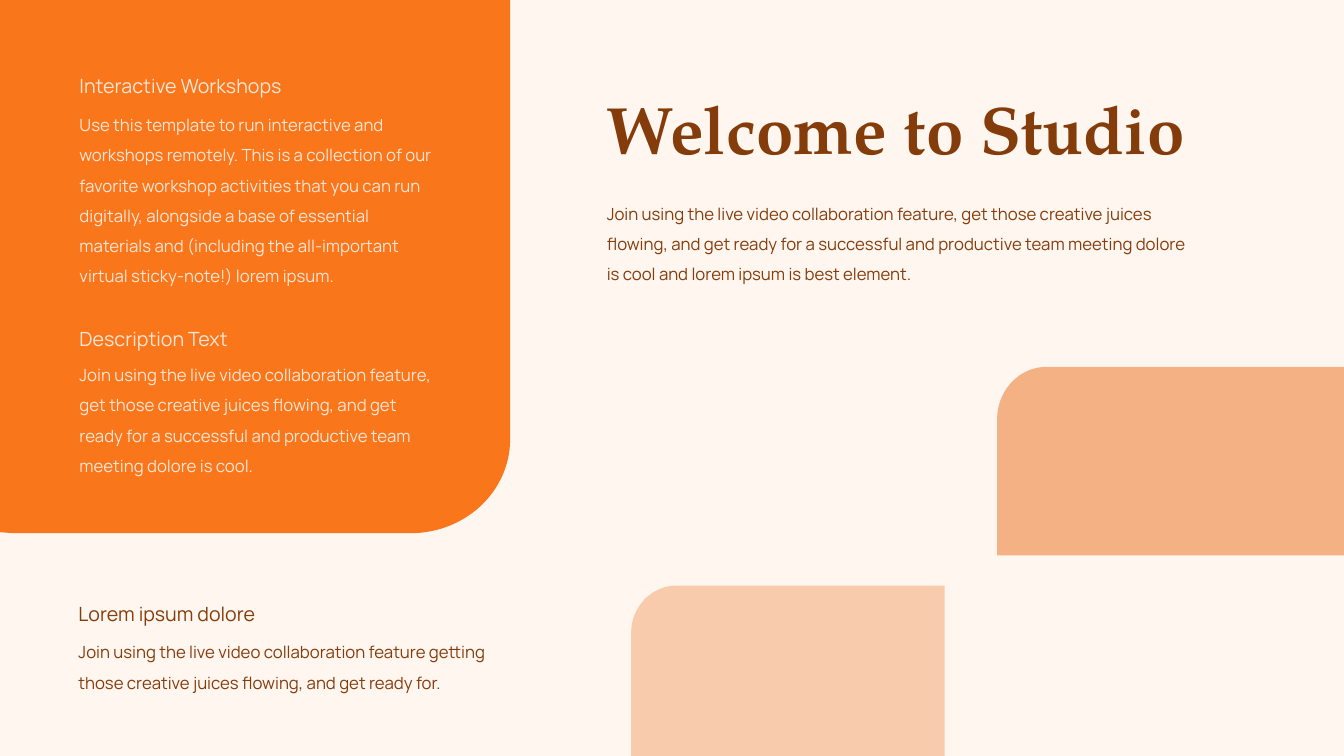
from dataclasses import dataclass
from math import cos, radians, sin

from pptx import Presentation
from pptx.dml.color import RGBColor
from pptx.enum.text import MSO_AUTO_SIZE
from pptx.util import Inches, Pt

GROW = MSO_AUTO_SIZE.SHAPE_TO_FIT_TEXT

CREAM, ORANGE = "FFF6F0", "F9761A"
APRICOT, PEACH = "F4B183", "F8CBAD"
BROWN, PALE = "843C0B", "FBE5D6"
BODY_FONT, TITLE_FONT = "Manrope", "TeX Gyre Pagella"
ARC_STEPS = 30


@dataclass
class Panel:
    fill: str
    corner: tuple[float, float]  # centre of the rounded corner
    radii: tuple[float, float]
    start_angle: int  # 180 rounds the top left, 0 the bottom right
    other_points: list[tuple[float, float]]  # clockwise, after the arc


@dataclass
class Section:
    left: float
    heading_top: float
    body_top: float
    width: float
    body_height: float
    color: str
    heading: str
    body: str


PANELS = [
    Panel(APRICOT, (10.38, 4.16), (0.49, 0.52), 180,
          [(13.33, 3.64), (13.33, 5.51), (9.89, 5.51)]),
    Panel(ORANGE, (4.07, 4.36), (0.99, 0.93), 0,
          [(0.14, 5.29), (0, 5.28), (0, 0), (5.06, 0)]),
    Panel(PEACH, (6.71, 6.28), (0.45, 0.47), 180,
          [(9.37, 5.81), (9.37, 7.5), (6.26, 7.5)]),
]

SECTIONS = [
    Section(0.69, 0.68, 0.99, 3.7, 1.88, PALE, "Interactive Workshops",
            "Use this template to run interactive and workshops remotely. This is a "
            "collection of our favorite workshop activities that you can run digitally, "
            "alongside a base of essential materials and (including the all-important "
            "virtual sticky-note!) lorem ipsum."),
    Section(0.69, 3.19, 3.47, 3.7, 1.28, PALE, "Description Text",
            "Join using the live video collaboration feature, get those creative juices "
            "flowing, and get ready for a successful and productive team meeting dolore "
            "is cool."),
    Section(0.68, 5.92, 6.22, 4.38, 0.67, BROWN, "Lorem ipsum dolore",
            "Join using the live video collaboration feature getting those creative "
            "juices flowing, and get ready for."),
]

INTRO = ("Join using the live video collaboration feature, get those creative juices "
         "flowing, and get ready for a successful and productive team meeting dolore "
         "is cool and lorem ipsum is best element.")


def rgb(color: str) -> RGBColor:
    return RGBColor.from_string(color)


def draw_panel(slide, panel: Panel) -> None:
    (center_x, center_y), (radius_x, radius_y) = panel.corner, panel.radii
    angles = [radians(panel.start_angle + 90 * step / ARC_STEPS)
              for step in range(ARC_STEPS + 1)]
    arc = [(center_x + radius_x * cos(a), center_y + radius_y * sin(a)) for a in angles]
    start, *rest = [(Inches(x), Inches(y)) for x, y in arc + panel.other_points]
    builder = slide.shapes.build_freeform(*start)
    builder.add_line_segments(rest, close=True)
    outline = builder.convert_to_shape()
    outline.shadow.inherit = False
    outline.fill.solid()
    outline.fill.fore_color.rgb = rgb(panel.fill)
    outline.line.fill.background()


def add_text(slide, text: str, left: float, top: float, width: float, height: float, *,
             size: int = 12, color: str = BROWN, font: str = BODY_FONT,
             bold: bool = False, spacing: float = 1.0) -> None:
    box = slide.shapes.add_textbox(Inches(left), Inches(top), Inches(width), Inches(height))
    frame = box.text_frame
    frame.word_wrap = True
    frame.auto_size = GROW
    paragraph = frame.paragraphs[0]
    paragraph.line_spacing = spacing
    run = paragraph.add_run()
    run.text = text
    run.font.size = Pt(size)
    run.font.name = font
    run.font.bold = bold
    run.font.color.rgb = rgb(color)


def draw_section(slide, section: Section) -> None:
    add_text(slide, section.heading, section.left, section.heading_top,
             section.width, 0.34, size=14, color=section.color)
    add_text(slide, section.body, section.left, section.body_top,
             section.width, section.body_height, color=section.color, spacing=1.5)


def main() -> None:
    deck = Presentation()
    deck.slide_width, deck.slide_height = Inches(13.33), Inches(7.5)
    slide = deck.slides.add_slide(deck.slide_layouts[6])
    slide.background.fill.solid()
    slide.background.fill.fore_color.rgb = rgb(CREAM)

    # Coloured panels
    for panel in PANELS:
        draw_panel(slide, panel)

    # Title and introduction
    add_text(slide, "Welcome to Studio", 5.92, 0.82, 6.51, 0.91,
             size=48, font=TITLE_FONT, bold=True)
    add_text(slide, INTRO, 5.92, 1.87, 5.97, 0.97, spacing=1.5)

    # Headed sections on the left
    for section in SECTIONS:
        draw_section(slide, section)

    deck.save("out.pptx")


if __name__ == "__main__":
    main()
